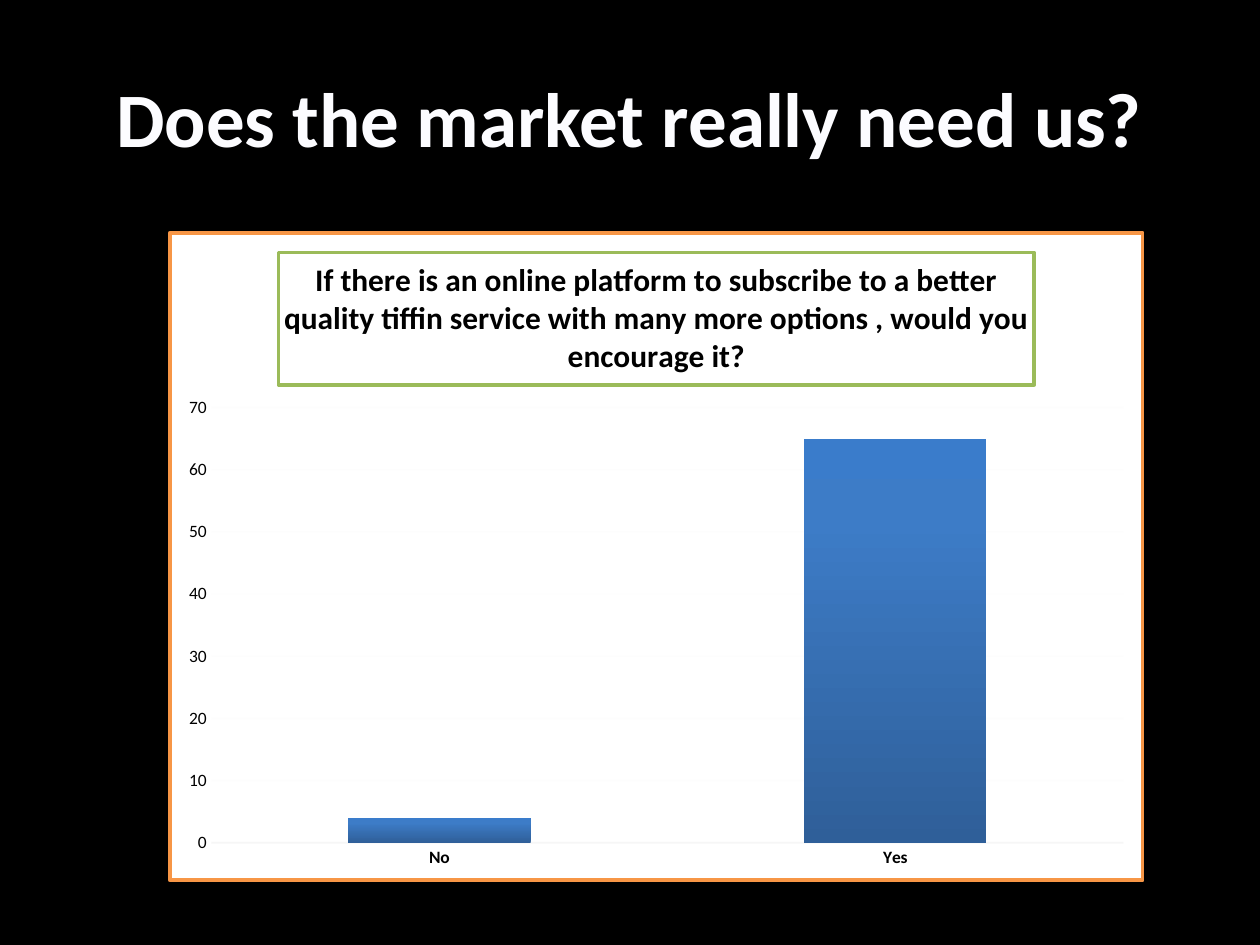
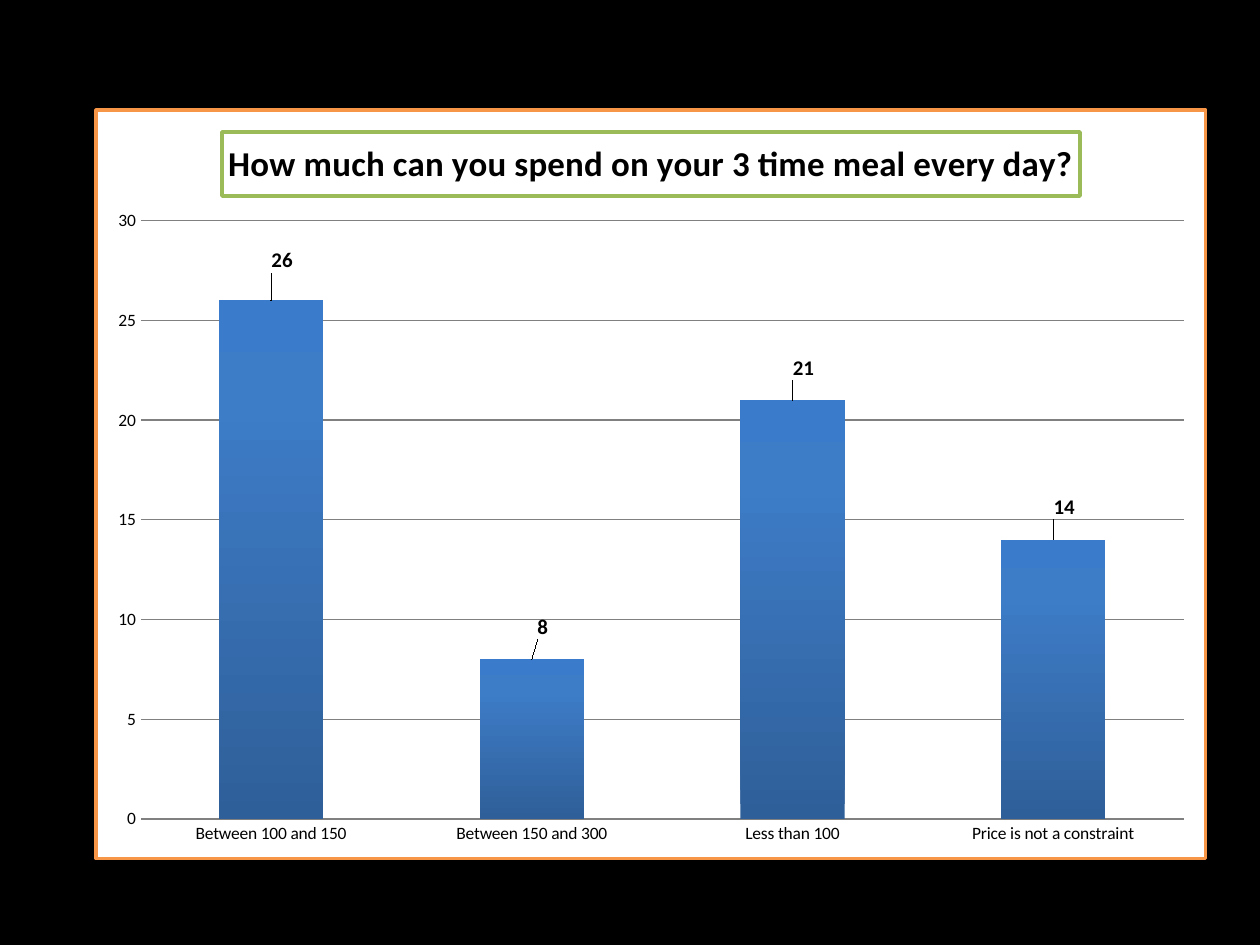
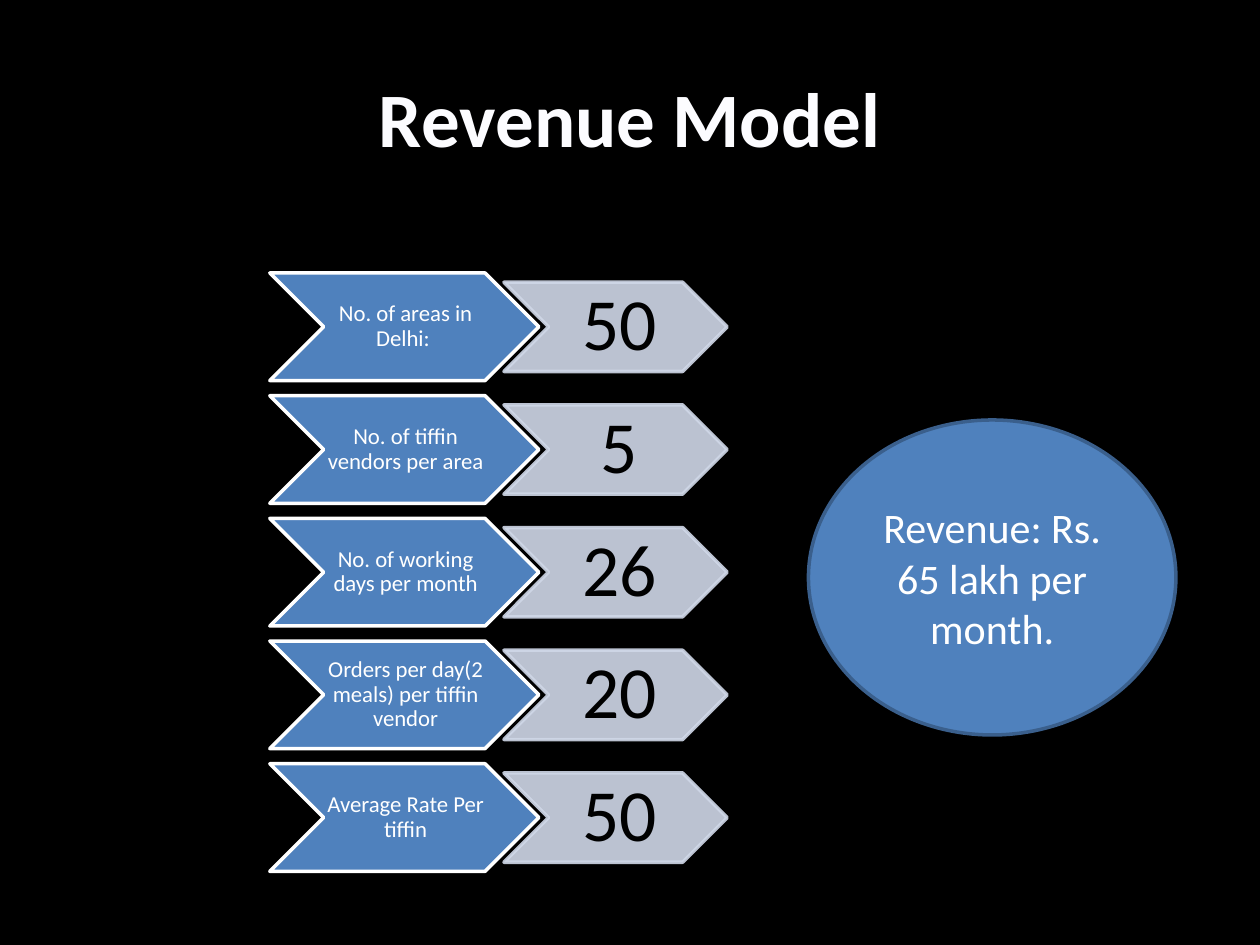
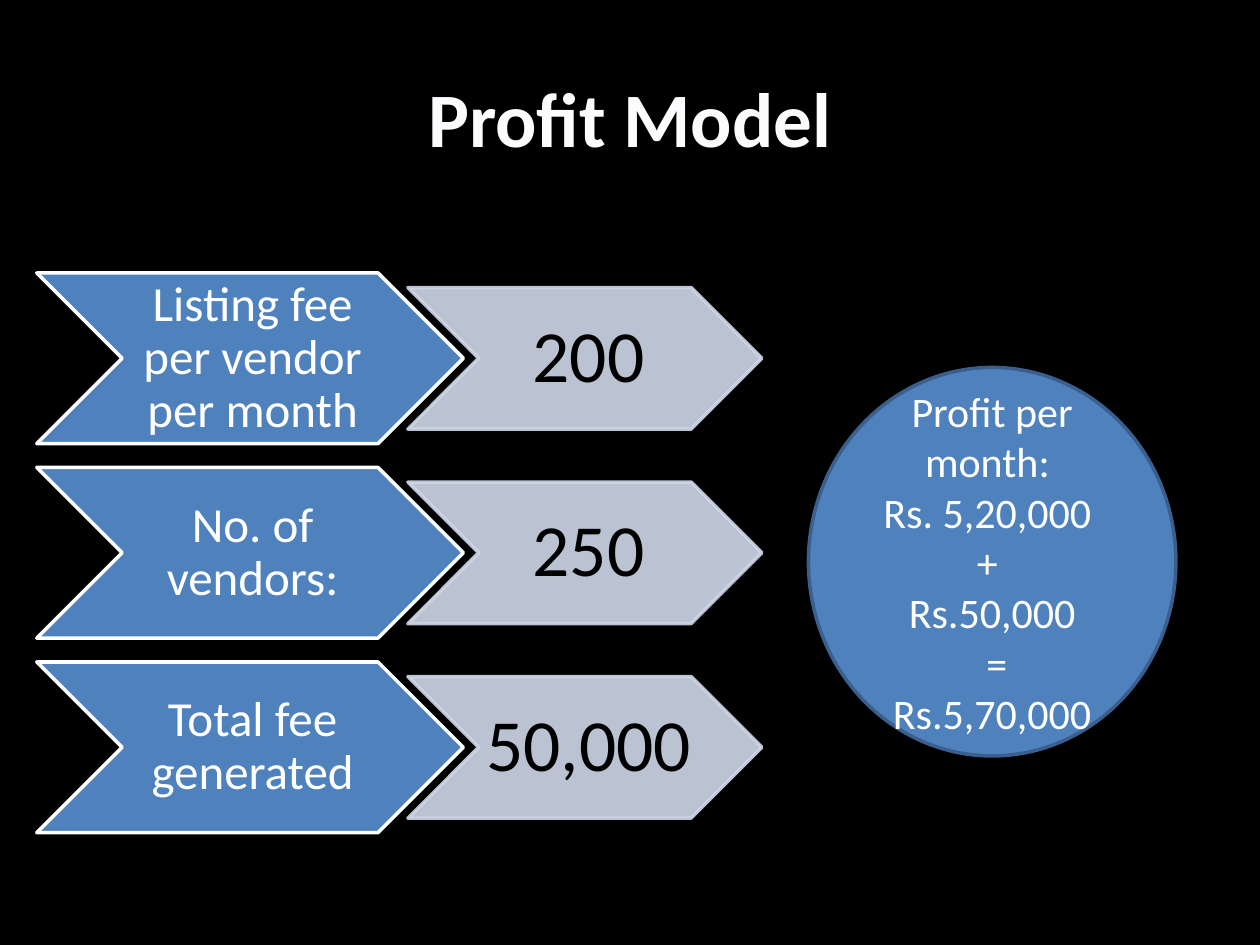
from copy import deepcopy

from lxml.etree import SubElement
from pptx import Presentation
from pptx.chart.data import CategoryChartData
from pptx.dml.color import RGBColor
from pptx.enum.chart import XL_CHART_TYPE, XL_LABEL_POSITION, XL_TICK_MARK
from pptx.enum.shapes import MSO_SHAPE
from pptx.enum.text import MSO_ANCHOR, PP_ALIGN
from pptx.oxml import parse_xml
from pptx.oxml.ns import nsdecls, qn
from pptx.util import Inches, Pt

FONT = "Calibri"
COLS, ROWS = 120, 90
WIDTH, HEIGHT = Inches(10), Inches(7.5)
COLORS = {
    "background": "000000",
    "title": "FCFCFF",
    "white": "FFFFFF",
    "black": "000000",
    "blue": "4F81BD",
    "blue_edge": "3A5F8C",
    "pale": "D0D8E8",
    "orange": "F79646",
    "green": "9BBB59",
    "grid": "808080",
    "faint": "F2F2F2",
}
BAR_STOPS = [(0, "2F5F99"), (0.8, "3D7CC7"), (1, "3A7CCB")]


def rgb(name):
    return RGBColor.from_string(COLORS[name])


def box(left, top, width, height):
    col, row = WIDTH / COLS, HEIGHT / ROWS
    return int(left * col), int(top * row), int(width * col), int(height * row)


def set_alpha(element, percent):
    for clr in element.iter(qn("a:srgbClr")):
        SubElement(clr, qn("a:alpha")).set("val", str(percent * 1000))


def set_font(font, size, color, bold=False):
    font.name, font.size, font.bold = FONT, Pt(size), bold
    font.color.rgb = rgb(color)


def set_line(line, color, width):
    line.color.rgb = rgb(color)
    line.width = Pt(width)


def write(tf, lines, size, color, bold=False):
    tf.word_wrap = True
    tf.vertical_anchor = MSO_ANCHOR.MIDDLE
    tf.text = "\n".join(lines)
    for p in tf.paragraphs:
        p.alignment = PP_ALIGN.CENTER
        for r in p.runs:
            set_font(r.font, size, color, bold)


def add_slide(prs, title=None):
    s = prs.slides.add_slide(prs.slide_layouts[6])
    s.background.fill.solid()
    s.background.fill.fore_color.rgb = rgb("background")
    if title:
        sp = s.shapes.add_textbox(*box(6, 3.6, 108, 15))
        write(sp.text_frame, [title], 44, "title", bold=True)
    return s


def add_filled(s, kind, place, fill, edge):
    sp = s.shapes.add_shape(kind, *box(*place))
    sp.shadow.inherit = False
    sp.fill.solid()
    sp.fill.fore_color.rgb = rgb(fill)
    set_line(sp.line, edge, 2)
    return sp


def add_chevron(s, place, text, size, fill, edge, color):
    sp = add_filled(s, MSO_SHAPE.CHEVRON, place, fill, edge)
    tf = sp.text_frame
    tf.margin_left, tf.margin_right = Inches(size / 700), 0
    tf.margin_top = tf.margin_bottom = Inches(size / 1400)
    write(tf, [text], size, color)
    tf.paragraphs[0].line_spacing = 0.9
    return sp


def add_chevron_rows(s, left, top, height, label_size, rows):
    width = 2.5 * height
    small = 0.83
    for i, (label, value) in enumerate(rows):
        y = top + 1.14 * height * i
        add_chevron(s, (left, y, width, height), label, label_size,
                    "blue", "white", "white")
        place = (left + 0.87 * width, y + (1 - small) / 2 * height,
                 small * width, small * height)
        sp = add_chevron(s, place, value, 42, "pale", "pale", "black")
        set_alpha(sp.element.spPr, 90)


def add_result(s, top, height, lines):
    sp = add_filled(s, MSO_SHAPE.OVAL, (77, top, 35, height), "blue", "blue_edge")
    write(sp.text_frame, lines, 24, "white")


def paint_bars(series):
    fill = series.format.fill
    fill.gradient()
    fill.gradient_angle = 90
    gs_list = next(series._element.iter(qn("a:gsLst")))
    gs_list.append(deepcopy(gs_list[-1]))
    for stop, (position, color) in zip(fill.gradient_stops, BAR_STOPS):
        stop.position = position
        stop.color.rgb = RGBColor.from_string(color)


def frame_chart(chart):
    chart._chartSpace.find(qn("c:chart")).addnext(parse_xml(
        f'<c:spPr {nsdecls("c", "a")}>'
        f'<a:solidFill><a:srgbClr val="{COLORS["white"]}"/></a:solidFill>'
        f'<a:ln w="{Pt(2)}"><a:solidFill><a:srgbClr val="{COLORS["orange"]}"/>'
        f'</a:solidFill></a:ln></c:spPr>'))


def add_column_chart(s, place, kind, title, title_size, answers):
    data = CategoryChartData()
    data.categories = list(answers)
    data.add_series("Series 1", list(answers.values()))
    chart = s.shapes.add_chart(kind, *box(*place), data).chart
    set_font(chart.font, 10, "black")
    frame_chart(chart)
    chart.has_legend = False
    chart.has_title = True
    heading = chart.chart_title
    heading.text_frame.text = title
    set_font(heading.text_frame.paragraphs[0].runs[0].font, title_size, "black", True)
    heading.format.fill.solid()
    heading.format.fill.fore_color.rgb = rgb("white")
    set_line(heading.format.line, "green", 2)
    for axis in (chart.category_axis, chart.value_axis):
        axis.major_tick_mark = axis.minor_tick_mark = XL_TICK_MARK.NONE
        axis.format.line.fill.background()
    chart.value_axis.has_major_gridlines = True
    set_line(chart.value_axis.major_gridlines.format.line, "grid", 0.75)
    plot = chart.plots[0]
    plot.gap_width = 150
    plot.vary_by_categories = False
    paint_bars(plot.series[0])
    return chart


def fade_axes(chart):
    axis = chart.category_axis
    set_font(axis.tick_labels.font, 10, "black", True)
    set_line(axis.format.line, "faint", 1)
    set_alpha(axis._element.find(qn("c:spPr")), 54)
    gridlines = chart.value_axis.major_gridlines
    set_line(gridlines.format.line, "faint", 0.75)
    set_alpha(chart.value_axis._element.find(qn("c:majorGridlines")), 10)


def add_raised_labels(series, offsets):
    labels = series.data_labels
    labels.show_value = True
    set_font(labels.font, 12, "black", True)
    for i, (x, y) in enumerate(offsets):
        label = series.points[i].data_label
        set_font(label.font, 12, "black", True)
        label.position = XL_LABEL_POSITION.OUTSIDE_END
        layout = parse_xml(
            f'<c:layout {nsdecls("c")}><c:manualLayout>'
            f'<c:x val="{x}"/><c:y val="{y}"/></c:manualLayout></c:layout>')
        labels._element.findall(qn("c:dLbl"))[i].find(qn("c:idx")).addnext(layout)


def main():
    prs = Presentation()
    prs.slide_width, prs.slide_height = WIDTH, HEIGHT

    s = add_slide(prs, "Does the market really need us?")
    chart = add_column_chart(
        s, (16, 22, 93, 62), XL_CHART_TYPE.COLUMN_STACKED,
        "If there is an online platform to subscribe to a better quality tiffin "
        "service with many more options , would you encourage it?",
        18, {"No": 4, "Yes": 65})
    chart.plots[0].overlap = 100
    fade_axes(chart)

    s = add_slide(prs)
    chart = add_column_chart(
        s, (9, 10.33, 106, 71.6), XL_CHART_TYPE.COLUMN_CLUSTERED,
        "How much can you spend on your 3 time meal every day?", 20,
        {"Between 100 and 150": 26, "Between 150 and 300": 8,
         "Less than 100": 21, "Price is not a constraint": 14})
    add_raised_labels(chart.plots[0].series[0],
                      [(0.01, -0.03), (0.01, -0.02), (0.01, -0.02), (0.01, -0.02)])

    s = add_slide(prs, "Revenue Model")
    add_chevron_rows(s, 25.7, 26, 10.25, 13, [
        ("No. of areas in Delhi: ", "50"),
        ("No. of tiffin vendors per area", "5"),
        ("No. of working days per month", "26"),
        ("Orders per day(2 meals) per tiffin vendor", "20"),
        ("Average Rate Per tiffin", "50"),
    ])
    add_result(s, 40, 30, ["Revenue: Rs. 65 lakh per month."])

    s = add_slide(prs, "Profit Model")
    add_chevron_rows(s, 3.5, 26, 16.25, 28, [
        ("Listing fee per vendor per month", "200"),
        ("No. of vendors:", "250"),
        ("Total fee generated", "50,000"),
    ])
    add_result(s, 35, 37, ["Profit per month: ", "Rs. 5,20,000 ", "+ ",
                           "Rs.50,000", " = Rs.5,70,000"])

    prs.save("out.pptx")


if __name__ == "__main__":
    main()
